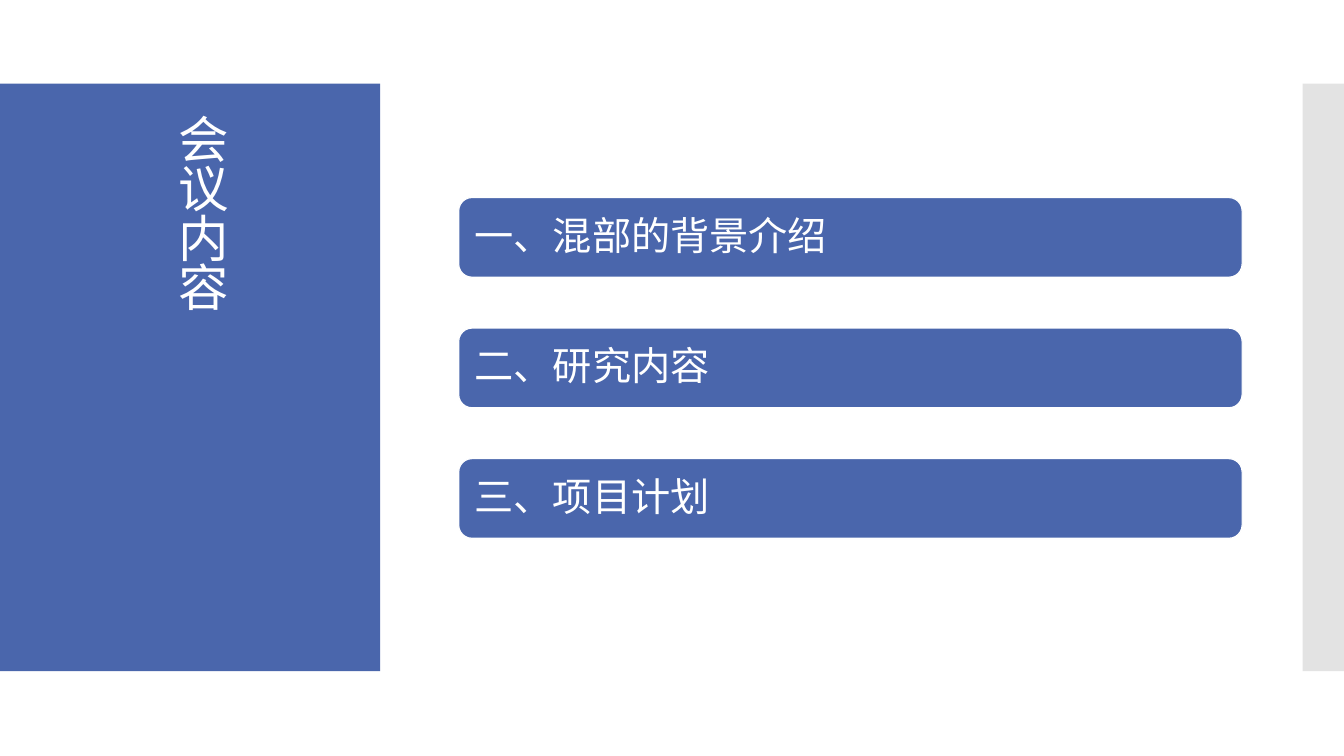
"""Build the agenda slide: side panels, a vertical title and three topic bars."""
import pptx
import pptx.util
import pptx.dml.color
import pptx.enum.shapes
import pptx.enum.text
from lxml import etree

Inches, Pt = pptx.util.Inches, pptx.util.Pt
SHAPE = pptx.enum.shapes.MSO_SHAPE
ANCHOR = pptx.enum.text.MSO_ANCHOR
ALIGN = pptx.enum.text.PP_ALIGN
COLORS = {"blue": "4A66AC", "gray": "C8C8C8", "white": "FFFFFF"}
TOPICS = ["一、混部的背景介绍", "二、研究内容", "三、项目计划"]
FONT = "Calibri"


def color(name):
    return pptx.dml.color.RGBColor.from_string(COLORS[name])


def add_block(s, kind, left, top, width, height, fill):
    sp = s.shapes.add_shape(kind, Inches(left), Inches(top), Inches(width), Inches(height))
    sp.shadow.inherit = False
    sp.fill.solid()
    sp.fill.fore_color.rgb = color(fill)
    sp.line.fill.background()
    return sp


def set_alpha(sp, percent):
    clr = sp.fill._xPr.find(".//" + pptx.oxml.ns.qn("a:srgbClr"))
    etree.SubElement(clr, pptx.oxml.ns.qn("a:alpha"), val=str(percent * 1000))


def write_text(tf, text, size, align):
    tf.word_wrap = True
    tf.vertical_anchor = ANCHOR.MIDDLE
    p = tf.paragraphs[0]
    p.alignment = align
    p.line_spacing = 0.9
    r = p.add_run()
    r.text = text
    r.font.size = Pt(size)
    r.font.name = FONT
    r.font.color.rgb = color("white")
    return r


def place_title(s, text):
    sp = s.shapes.title
    sp.left, sp.top = Inches(0.42), Inches(1.08)
    sp.width, sp.height = Inches(3.08), Inches(5.42)
    s.shapes._spTree.append(sp._element)
    tf = sp.text_frame
    r = write_text(tf, text, 36, ALIGN.CENTER)
    r.font._element.set("spc", "-60")
    tf._txBody.bodyPr.set("vert", "eaVert")


def add_topic(s, text, top):
    sp = add_block(s, SHAPE.ROUNDED_RECTANGLE, 4.55, top, 7.77, 0.79, "blue")
    sp.line.color.rgb = color("white")
    sp.line.width = Pt(0.85)
    tf = sp.text_frame
    tf.margin_left = tf.margin_right = Inches(0.12)
    tf.margin_top = tf.margin_bottom = Inches(0.12)
    write_text(tf, text, 28, ALIGN.LEFT)


def main():
    prs = pptx.Presentation()
    prs.slide_width, prs.slide_height = Inches(13.33), Inches(7.5)
    s = prs.slides.add_slide(prs.slide_layouts[5])
    add_block(s, SHAPE.RECTANGLE, 0, 0.83, 3.77, 5.83, "blue")
    edge = add_block(s, SHAPE.RECTANGLE, 12.92, 0.83, 0.41, 5.83, "gray")
    set_alpha(edge, 50)
    place_title(s, "会议内容")
    for i, topic in enumerate(TOPICS):
        add_topic(s, topic, 1.96 + 1.295 * i)
    prs.save("out.pptx")


if __name__ == "__main__":
    main()
